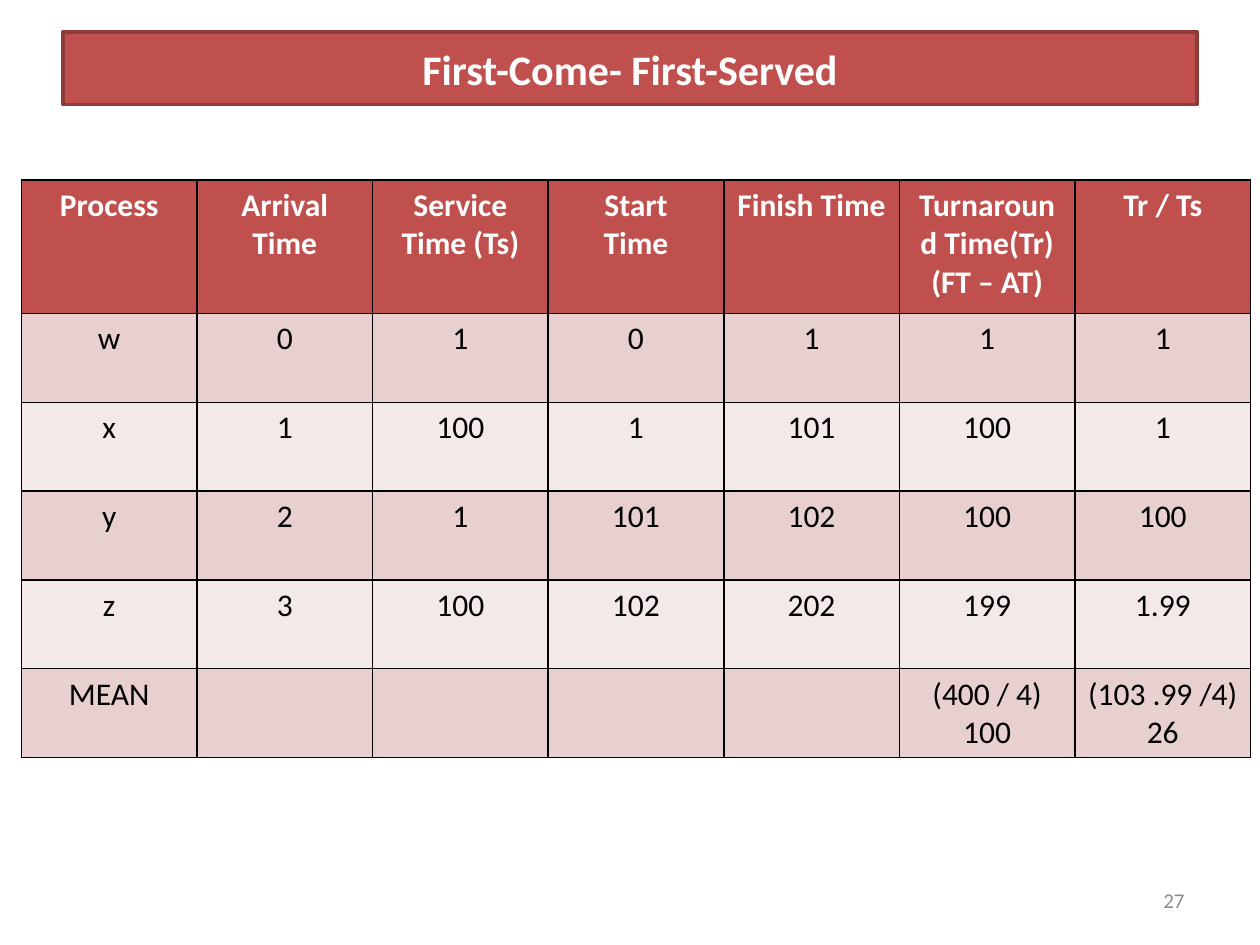
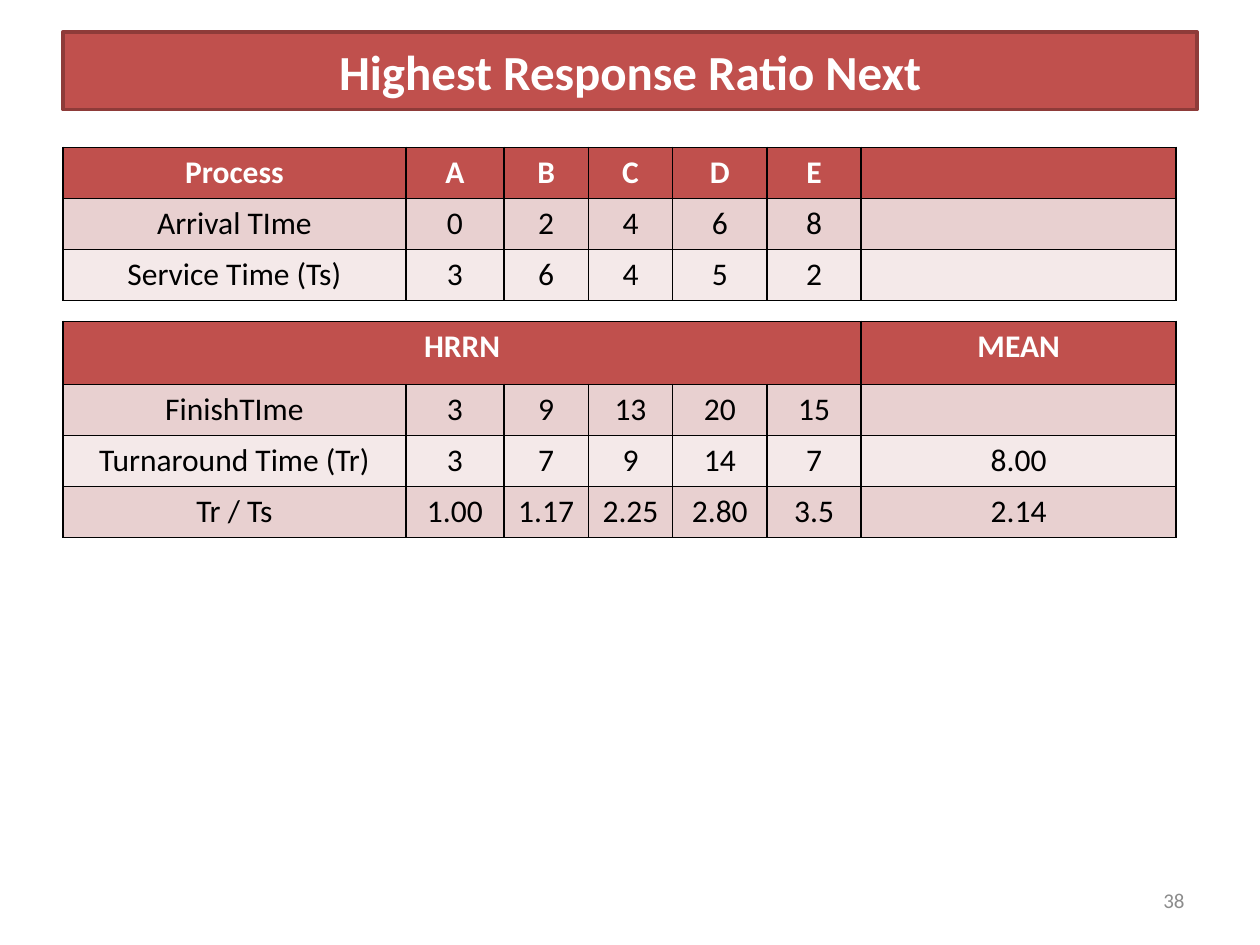
from lxml.etree import SubElement
from pptx import Presentation
from pptx.dml.color import RGBColor
from pptx.enum.text import MSO_ANCHOR, PP_ALIGN
from pptx.oxml.ns import qn
from pptx.util import Cm, Pt

RED, EDGE, WHITE, BLACK, GREY = "C0504D", "8E3B39", "FFFFFF", "000000", "8C8C8C"
BANDS = ["E8D0D0", "F4E9E9"]
TITLE_ONLY = 5
LEFT = 1.27
ROW = 1.03
GRID = [6.91, 1.98, 1.7, 1.7, 1.9, 1.9, 6.35]

FRAME = {"word_wrap": True, "vertical_anchor": MSO_ANCHOR.MIDDLE}
HEAD = {"name": "Calibri", "size": Pt(18), "bold": True}
BODY = HEAD | {"bold": False}
NUMBER = BODY | {"size": Pt(12)}

FCFS = [
    ["Process", "Arrival Time", "Service Time (Ts)", "Start\nTime",
     "Finish Time", "Turnaround Time(Tr) (FT – AT)", "Tr / Ts"],
    ["w", "0", "1", "0", "1", "1", "1"],
    ["x", "1", "100", "1", "101", "100", "1"],
    ["y", "2", "1", "101", "102", "100", "100"],
    ["z", "3", "100", "102", "202", "199", "1.99"],
    ["MEAN", "", "", "", "", "(400 / 4)\n100", "(103 .99 /4)\n26"],
]
TIMES = [
    ["Process", "A", "B", "C", "D", "E", ""],
    ["Arrival TIme", "0", "2", "4", "6", "8", ""],
    ["Service Time (Ts)", "3", "6", "4", "5", "2", ""],
]
HRRN = [
    ["HRRN", "", "", "", "", "", "MEAN"],
    ["FinishTIme", "3", "9", "13", "20", "15", ""],
    ["Turnaround Time (Tr)", "3", "7", "9", "14", "7", "8.00"],
    ["Tr / Ts", "1.00", "1.17", "2.25", "2.80", "3.5", "2.14"],
]


def color(part, tone):
    part.rgb = RGBColor.from_string(tone)


def paint(fill, tone):
    fill.solid()
    color(fill.fore_color, tone)


def apply(item, values):
    for name, value in values.items():
        setattr(item, name, value)


def write(frame, text, style, tone, align=PP_ALIGN.CENTER):
    frame.text = text
    for para in frame.paragraphs:
        para.alignment = align
        apply(para.font, style)
        color(para.font.color, tone)


def add_title(slide, text, size, height):
    title = slide.shapes.title
    apply(title, {"left": Cm(LEFT), "top": Cm(0.64),
                  "width": Cm(22.86), "height": Cm(height)})
    paint(title.fill, RED)
    paint(title.line.fill, EDGE)
    title.line.width = Pt(2)
    apply(title.text_frame, FRAME)
    write(title.text_frame, text, HEAD | {"size": Pt(size)}, WHITE)


def add_number(slide, text):
    box = slide.shapes.add_textbox(Cm(18.2), Cm(17.65), Cm(5.93), Cm(1.01))
    apply(box.text_frame, FRAME)
    write(box.text_frame, text, NUMBER, GREY, PP_ALIGN.RIGHT)


def add_border(cell):
    props = cell._tc.get_or_add_tcPr()
    for side in ("lnL", "lnR", "lnT", "lnB"):
        line = SubElement(props, qn(f"a:{side}"), w=str(Pt(1)))
        fill = SubElement(line, qn("a:solidFill"))
        SubElement(fill, qn("a:srgbClr"), val=BLACK)


def add_grid(slide, left, top, cols, rows, data):
    frame = slide.shapes.add_table(
        len(rows), len(cols), Cm(left), Cm(top), Cm(sum(cols)), Cm(sum(rows)))
    table = frame.table
    for col, width in zip(table.columns, cols):
        col.width = Cm(width)
    for index, (row, height) in enumerate(zip(table.rows, rows)):
        row.height = Cm(height)
        tone = BANDS[(index - 1) % 2] if index else RED
        style, ink = (BODY, BLACK) if index else (HEAD, WHITE)
        for cell, text in zip(row.cells, data[index]):
            add_border(cell)
            paint(cell.fill, tone)
            write(cell.text_frame, text, style, ink)
    return table


def add_slide(deck, title, size, height, number):
    slide = deck.slides.add_slide(deck.slide_layouts[TITLE_ONLY])
    add_title(slide, title, size, height)
    add_number(slide, number)
    return slide


def main():
    deck = Presentation()
    apply(deck, {"slide_width": Cm(25.4), "slide_height": Cm(19.05)})

    first = add_slide(deck, "First-Come- First-Served", 24, 1.47, "27")
    add_grid(first, 0.43, 3.63, [3.54] * 7, [2.69] + [1.79] * 5, FCFS)

    ratio = add_slide(deck, "Highest Response Ratio Next", 28, 1.57, "38")
    add_grid(ratio, LEFT, 2.97, GRID, [ROW] * 3, TIMES)
    table = add_grid(ratio, LEFT, 6.48, GRID, [1.27] + [ROW] * 3, HRRN)
    table.cell(0, 0).merge(table.cell(0, 5))

    deck.save("out.pptx")


if __name__ == "__main__":
    main()
